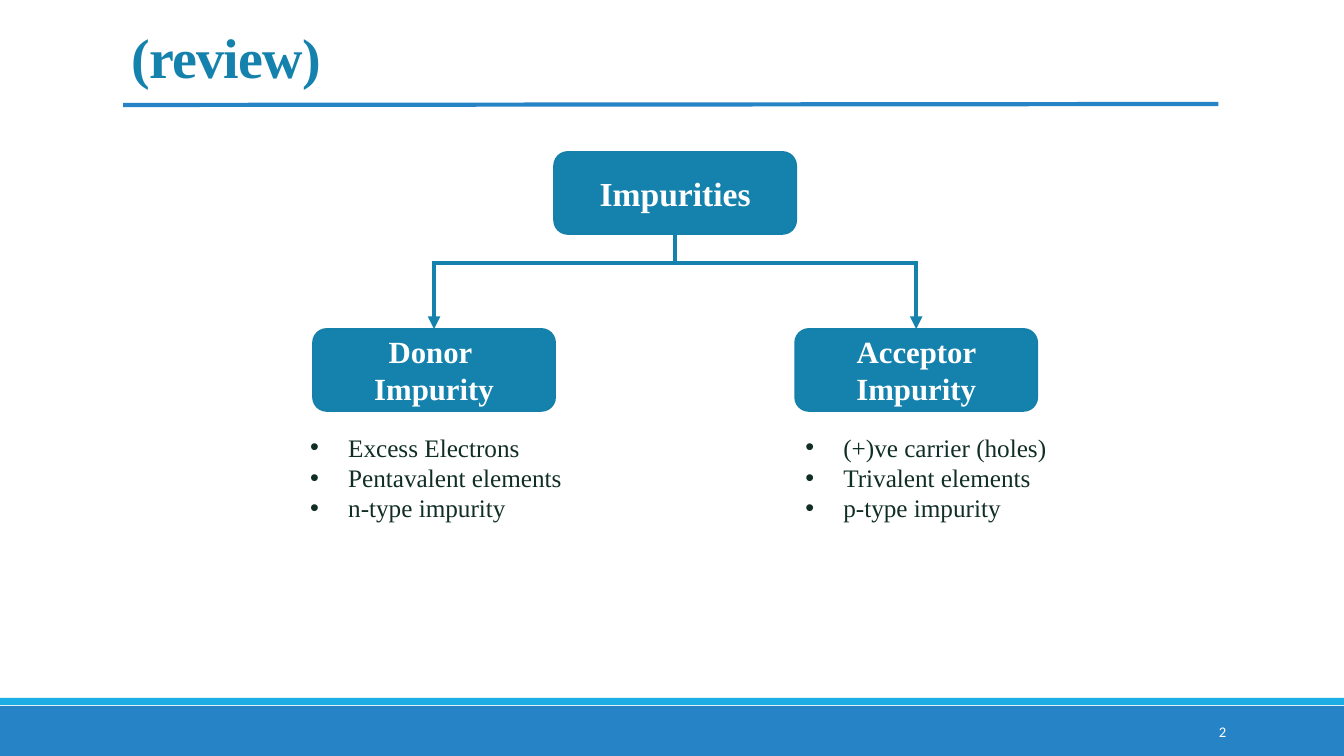
from lxml.etree import SubElement
from pptx import Presentation
from pptx.dml.color import RGBColor
from pptx.enum.shapes import MSO_CONNECTOR, MSO_SHAPE
from pptx.enum.text import MSO_ANCHOR, MSO_AUTO_SIZE, PP_ALIGN
from pptx.oxml.ns import qn
from pptx.util import Emu, Inches, Pt

SCALE = 914400 / 100.8
TEAL, BLUE, SKY, EDGE = "1482AC", "2683C6", "1CADE4", "1580A9"
INK, WHITE = "112E26", "FFFFFF"
SERIF = "Times New Roman"


def px(n):
    return Emu(round(n * SCALE))


def color(code):
    return RGBColor.from_string(code)


class Board:
    """Draws styled elements on one slide, measured in px."""

    def __init__(self, slide):
        self.slide = slide
        self.shapes = slide.shapes

    def place(self, shape, *box):
        shape.left, shape.top, shape.width, shape.height = map(px, box)

    def letter(self, shape, lines, size, ink, align, anchor, bold=False, face=SERIF, bullet=False):
        frame = shape.text_frame
        frame.text = "\n".join(lines)
        frame.word_wrap = True
        frame.auto_size = MSO_AUTO_SIZE.NONE
        frame.vertical_anchor = anchor
        for para in frame.paragraphs:
            para.alignment = align
            para.space_before = Pt(0)
            if bullet:
                props = para._p.get_or_add_pPr()
                props.set("marL", str(px(38)))
                props.set("indent", str(px(-38)))
                SubElement(props, qn("a:buFont")).set("typeface", "Arial")
                SubElement(props, qn("a:buChar")).set("char", "•")
            font = para.font
            font.name, font.size, font.bold = face, Pt(size), bold
            font.color.rgb = color(ink)

    def title(self, text, *box):
        shape = self.shapes.title
        self.place(shape, *box)
        self.letter(shape, [text], 40, TEAL, PP_ALIGN.LEFT, MSO_ANCHOR.MIDDLE, True)
        para = shape.text_frame.paragraphs[0]
        para.line_spacing = 0.85
        para.runs[0]._r.get_or_add_rPr().set("spc", "-50")

    def points(self, slot, lines, *box):
        shape = self.slide.placeholders[slot]
        self.place(shape, *box)
        self.letter(shape, lines, 18, INK, PP_ALIGN.JUSTIFY, MSO_ANCHOR.TOP, bullet=True)

    def label(self, text, *box):
        shape = self.shapes.add_textbox(*map(px, box))
        self.letter(shape, [text], 10.5, WHITE, PP_ALIGN.RIGHT, MSO_ANCHOR.MIDDLE, face="Calibri")

    def block(self, kind, fill, *box):
        shape = self.shapes.add_shape(kind, *map(px, box))
        shape.shadow.inherit = False
        shape.fill.solid()
        shape.fill.fore_color.rgb = color(fill)
        shape.line.fill.background()
        return shape

    def node(self, lines, size, left, top):
        shape = self.block(MSO_SHAPE.ROUNDED_RECTANGLE, TEAL, left, top, 242, 82)
        shape.line.color.rgb = color(EDGE)
        shape.line.width = Pt(1.25)
        self.letter(shape, lines, size, WHITE, PP_ALIGN.CENTER, MSO_ANCHOR.MIDDLE, True)
        return shape

    def link(self, kind, ink, *ends):
        line = self.shapes.add_connector(kind, *map(px, ends))
        line.line.color.rgb = color(ink)
        line.line.width = Pt(3)
        SubElement(line._element.spPr, qn("a:effectLst"))
        return line

    def elbow(self, *ends):
        line = self.link(MSO_CONNECTOR.ELBOW, TEAL, *ends)
        shape = line._element.spPr.find(qn("a:prstGeom"))
        guide = SubElement(shape.find(qn("a:avLst")), qn("a:gd"))
        guide.set("name", "adj1")
        guide.set("fmla", "val 0")

    def arrow(self, node, *ends):
        line = self.link(MSO_CONNECTOR.STRAIGHT, TEAL, *ends)
        edge = line._element.spPr.find(qn("a:ln"))
        SubElement(edge, qn("a:tailEnd")).set("type", "triangle")
        line.end_connect(node, 0)


def main():
    deck = Presentation()
    deck.slide_width, deck.slide_height = Inches(13.33), Inches(7.5)
    board = Board(deck.slides.add_slide(deck.slide_layouts[3]))

    board.block(MSO_SHAPE.RECTANGLE, BLUE, 0, 706, 1344, 50)
    board.block(MSO_SHAPE.RECTANGLE, SKY, 0, 698, 1344, 7)
    board.link(MSO_CONNECTOR.STRAIGHT, BLUE, 123, 105, 1218, 104)
    board.title("(review)", 121, 17, 1109, 89)
    board.label("2", 1092, 712, 144, 40)

    mid, gap = 675, 241
    board.node(["Impurities"], 24, mid - 121, 152)
    kinds = [
        (-1, ["Donor ", "Impurity"], 300,
         ["Excess Electrons", "Pentavalent elements", "n-type impurity"]),
        (1, ["Acceptor Impurity"], 795,
         ["(+)ve carrier (holes)", "Trivalent elements", "p-type impurity"]),
    ]
    for slot, (side, name, left, facts) in enumerate(kinds, 1):
        x = mid + side * gap
        node = board.node(name, 22, x - 121, 329)
        board.elbow(mid, 234, x, 263)
        board.arrow(node, x, 261, x, 329)
        board.points(slot, facts, left, 427, 308, 132)

    deck.save("out.pptx")


if __name__ == "__main__":
    main()
